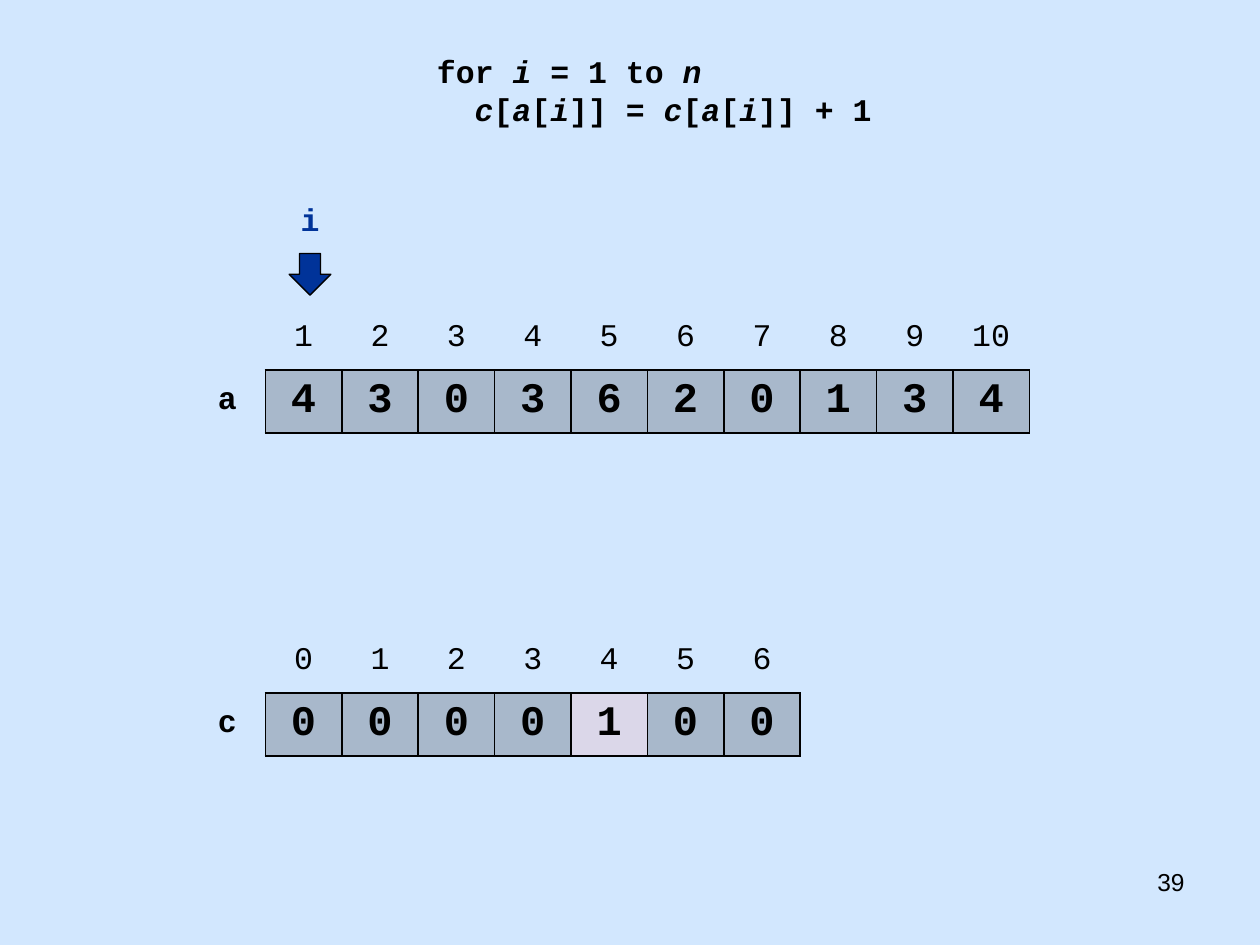
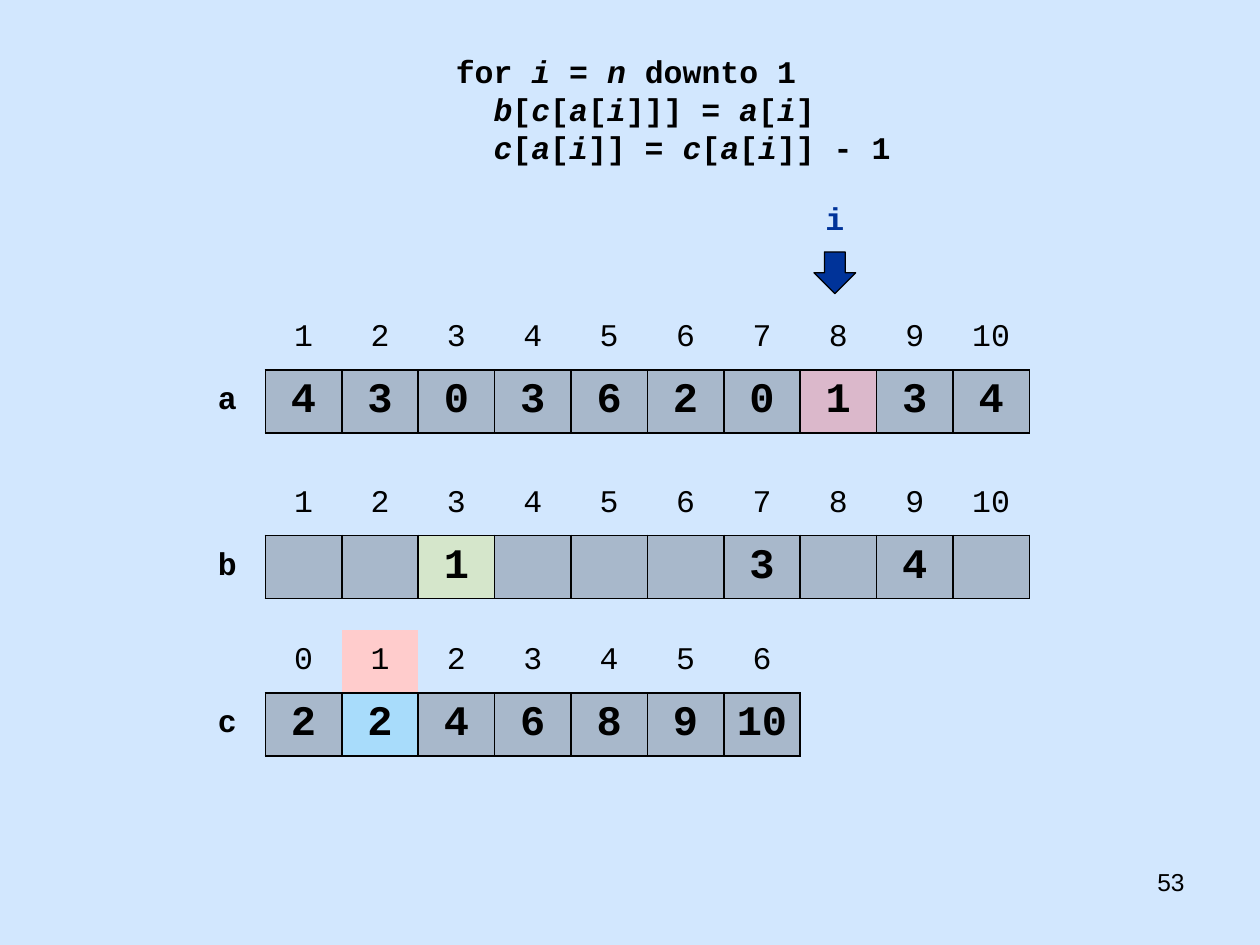
"""Build two slides that step through counting sort."""
from lxml import etree
from pptx import Presentation
from pptx.dml.color import RGBColor
from pptx.enum.shapes import MSO_SHAPE
from pptx.enum.text import MSO_ANCHOR, PP_ALIGN
from pptx.oxml.ns import qn
from pptx.util import Cm, Pt

LEFT, CENTER, RIGHT = PP_ALIGN.LEFT, PP_ALIGN.CENTER, PP_ALIGN.RIGHT
MIDDLE = MSO_ANCHOR.MIDDLE
DOWN_ARROW = MSO_SHAPE.DOWN_ARROW
BLANK_LAYOUT = 6
PLAIN_TABLE = "{2D5ABB26-0587-4C30-8999-92F81FD0307C}"

BACKGROUND, BLACK, NAVY = "D2E7FE", "000000", "003399"
CODE = {"name": "Courier New", "size": Pt(18), "bold": True}
INDEX = {**CODE, "bold": False}
VALUE = {**CODE, "size": Pt(24)}
NUMBER = {"name": "Arial", "size": Pt(14)}

CELL_WIDTH, CELL_HEIGHT, ARRAY_LEFT = 1.54, 1.27, 3.81
A_TOP, B_TOP, C_TOP = 6.19, 9.52, 12.7
CHAR_WIDTH = 0.38
LINE_PITCH = Pt(21.7)

A_VALUES = [4, 3, 0, 3, 6, 2, 0, 1, 3, 4]
B_VALUES = ["", "", 1, "", "", "", 3, "", 4, ""]


def color(value):
    """Turn a hex string into a colour."""
    return RGBColor.from_string(value)


def add_span(para, text, style, ink=BLACK, italic=False):
    """Add one formatted run to a paragraph."""
    span = para.add_run()
    span.text = str(text)
    for name, value in {**style, "italic": italic}.items():
        setattr(span.font, name, value)
    span.font.color.rgb = color(ink)


def add_box(page, left, top, width, height):
    """Add a wrapping text box and return its text frame."""
    box = page.shapes.add_textbox(Cm(left), Cm(top), Cm(width), Cm(height))
    box.text_frame.word_wrap = True
    return box.text_frame


def add_code(page, lines):
    """Write (indent, text) code lines, with variables between asterisks."""
    frame = add_box(page, 8.56, 0.93, 10.16, 0.25 + 0.77 * len(lines))
    for row, (indent, text) in enumerate(lines):
        para = frame.add_paragraph() if row else frame.paragraphs[0]
        para.alignment = LEFT
        para.line_spacing = LINE_PITCH
        para._p.get_or_add_pPr().set("marL", str(Cm(indent * CHAR_WIDTH)))
        for part, words in enumerate(text.split("*")):
            if words:
                add_span(para, words, CODE, italic=part % 2 == 1)


def add_pointer(page, left, top):
    """Add the loop variable with an arrow below it."""
    para = add_box(page, left, top, 5.28, 1.02).paragraphs[0]
    para.alignment = CENTER
    para.line_spacing = LINE_PITCH
    add_span(para, "i", CODE, NAVY)
    arrow = page.shapes.add_shape(
        DOWN_ARROW, Cm(left + 2.22), Cm(top + 1.2), Cm(0.84), Cm(0.84))
    arrow.shadow.inherit = False
    arrow.fill.solid()
    arrow.fill.fore_color.rgb = color(NAVY)
    arrow.line.color.rgb = color("010000")
    arrow.line.width = Pt(0.75)


def write_cell(cell, text, style):
    """Put centred text in a cell."""
    cell.vertical_anchor = MIDDLE
    para = cell.text_frame.paragraphs[0]
    para.alignment = CENTER
    if text != "":
        add_span(para, text, style)


def fill_cell(cell, tint, opacity=100):
    """Fill a cell with a colour of the given opacity in percent."""
    cell.fill.solid()
    cell.fill.fore_color.rgb = color(tint)
    if opacity < 100:
        paint = cell._tc.tcPr.find(qn("a:solidFill"))
        etree.SubElement(paint[0], qn("a:alpha"), val=str(opacity * 1000))


def border_cell(cell, sides):
    """Draw thin black borders on the given sides of an unfilled cell."""
    properties = cell._tc.get_or_add_tcPr()
    for side in sides:
        line = etree.SubElement(properties, qn("a:ln" + side), w=str(Pt(1)))
        paint = etree.SubElement(line, qn("a:solidFill"))
        etree.SubElement(paint, qn("a:srgbClr"), val=BLACK)


def add_array(page, name, top, first, values, tints=None, index_tints=None):
    """Draw a named array with its indices above, tinted by index."""
    tints, index_tints = tints or {}, index_tints or {}
    columns = len(values) + 1
    shape = page.shapes.add_table(
        2, columns, Cm(ARRAY_LEFT), Cm(top),
        Cm(columns * CELL_WIDTH), Cm(2 * CELL_HEIGHT))
    shape.element.find(".//" + qn("a:tableStyleId")).text = PLAIN_TABLE
    table = shape.table
    table.first_row = table.horz_banding = False
    for column in table.columns:
        column.width = Cm(CELL_WIDTH)
    border_cell(table.cell(1, 0), "R")
    write_cell(table.cell(1, 0), name, CODE)
    for column, value in enumerate(values, 1):
        index = first + column - 1
        header, slot = table.cell(0, column), table.cell(1, column)
        write_cell(header, index, INDEX)
        border_cell(header, "B")
        if index in index_tints:
            fill_cell(header, index_tints[index])
        write_cell(slot, value, VALUE)
        border_cell(slot, "LRTB")
        fill_cell(slot, tints.get(index, BLACK), 20)


def add_page(deck, number):
    """Add a page with the shared background and page number."""
    page = deck.slides.add_slide(deck.slide_layouts[BLANK_LAYOUT])
    page.background.fill.solid()
    page.background.fill.fore_color.rgb = color(BACKGROUND)
    para = add_box(page, 18.21, 17.35, 5.92, 1.32).paragraphs[0]
    para.alignment = RIGHT
    add_span(para, number, NUMBER)
    return page


def main():
    """Build and save the deck."""
    deck = Presentation()
    deck.slide_width, deck.slide_height = Cm(25.4), Cm(19.05)

    counting = add_page(deck, 39)
    add_array(counting, "a", A_TOP, 1, A_VALUES)
    add_array(counting, "c", C_TOP, 0, [0, 0, 0, 0, 1, 0, 0], {4: "FF9999"})
    add_pointer(counting, 3.61, 3.91)
    add_code(counting, [
        (0, "for *i* = 1 to *n*"),
        (2, "*c*[*a*[*i*]] = *c*[*a*[*i*]] + 1"),
    ])

    placing = add_page(deck, 53)
    add_array(placing, "a", A_TOP, 1, A_VALUES, {8: "FF0000"})
    add_array(placing, "c", C_TOP, 0, [2, 2, 4, 6, 8, 9, 10],
              {1: "00B0F0"}, {1: "FFCCCC"})
    add_code(placing, [
        (1, "for *i* = *n* downto 1"),
        (3, "*b*[*c*[*a*[*i*]]] = *a*[*i*]"),
        (3, "*c*[*a*[*i*]] = *c*[*a*[*i*]] - 1"),
    ])
    add_array(placing, "b", B_TOP, 1, B_VALUES, {3: "E5E500"})
    add_pointer(placing, 14.19, 3.88)

    deck.save("out.pptx")


if __name__ == "__main__":
    main()
